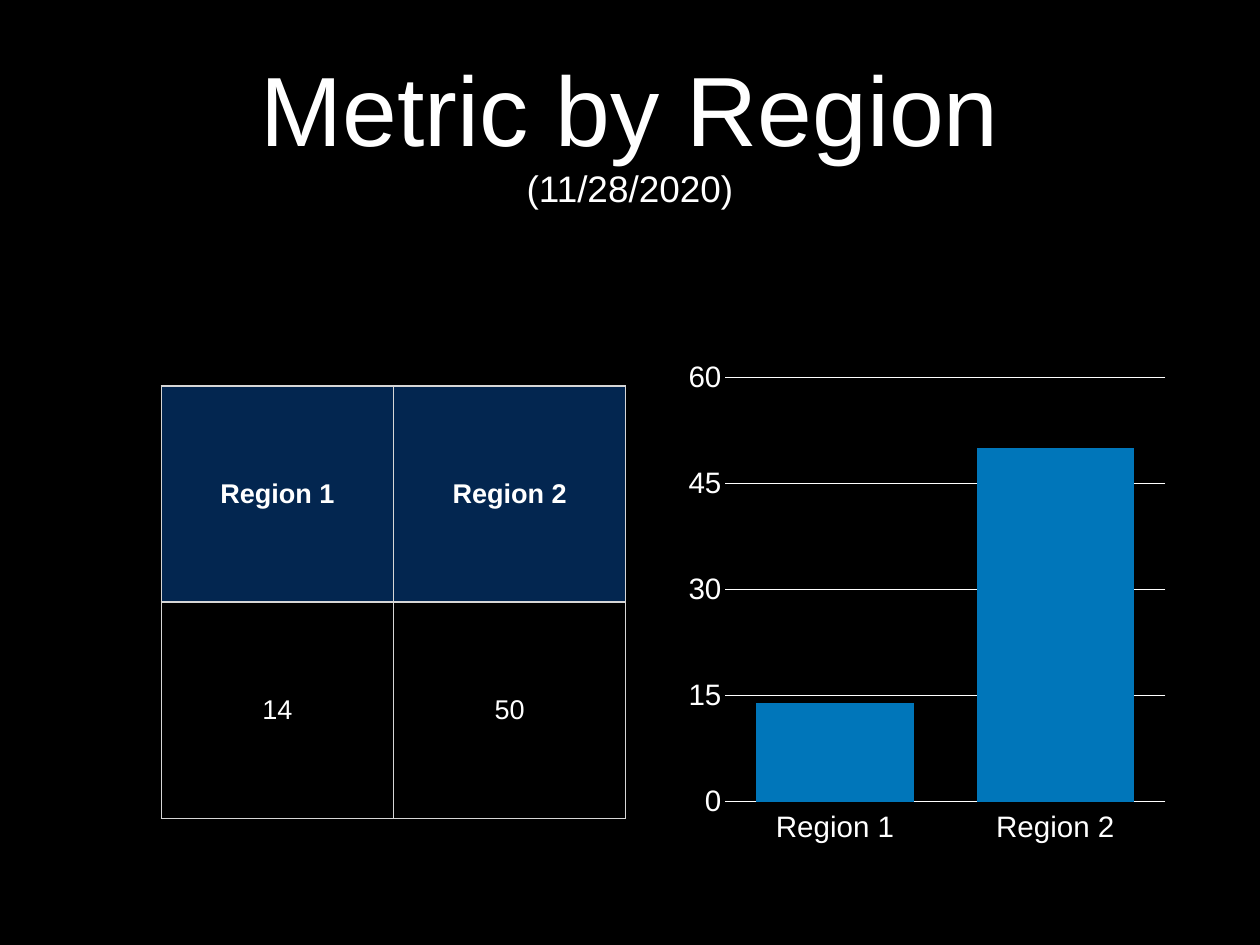
from dataclasses import dataclass
from typing import Any

import lxml.etree
import pptx
import pptx.chart.axis
import pptx.chart.chart
import pptx.chart.data
import pptx.dml.color
import pptx.enum.chart
import pptx.enum.text
import pptx.oxml
import pptx.oxml.ns
import pptx.slide
import pptx.table
import pptx.text.text
import pptx.util

Cm = pptx.util.Cm
MIDDLE = pptx.enum.text.MSO_ANCHOR.MIDDLE


@dataclass(frozen=True)
class Theme:
    font: str = "Arial"
    background: str = "000000"
    text: str = "FFFFFF"
    header: str = "032650"
    border: str = "D6D6D6"
    bar: str = "0076BA"
    title_size: int = 80
    date_size: int = 30
    table_size: int = 22
    axis_size: int = 24


@dataclass(frozen=True)
class Frame:
    left: float
    top: float
    width: float
    height: float

    def lengths(self) -> tuple[pptx.util.Length, ...]:
        return Cm(self.left), Cm(self.top), Cm(self.width), Cm(self.height)


@dataclass(frozen=True)
class Region:
    name: str
    value: int


@dataclass(frozen=True)
class Heading:
    text: str
    size: int


THEME = Theme()
REGIONS = (Region("Region 1", 14), Region("Region 2", 50))
HEADINGS = (
    Heading("Metric by Region", THEME.title_size),
    Heading("(11/28/2020)", THEME.date_size),
)
TITLE_FRAME = Frame(2.64, 0.71, 30.84, 5.99)
TABLE_FRAME = Frame(4.62, 11.07, 13.32, 12.4)
CHART_FRAME = Frame(19.13, 8.36, 14.35, 16.28)
PLOT_AREA = {"x": 0.115, "y": 0.152, "w": 0.88, "h": 0.747}
MARGINS = {f"margin_{side}": Cm(0.15) for side in ("left", "top", "right", "bottom")}


def apply_format(target: Any, values: dict[str, Any]) -> None:
    for name, value in values.items():
        setattr(target, name, value)


def color(code: str) -> pptx.dml.color.RGBColor:
    return pptx.dml.color.RGBColor.from_string(code)


def paint(fill: Any, code: str) -> None:
    fill.solid()
    fill.fore_color.rgb = color(code)


def style_font(font: pptx.text.text.Font, size: int, bold: bool = False) -> None:
    apply_format(font, {"name": THEME.font, "size": pptx.util.Pt(size), "bold": bold})
    font.color.rgb = color(THEME.text)


def write_line(para: Any, text: str, size: int, bold: bool = False) -> None:
    para.alignment = pptx.enum.text.PP_ALIGN.CENTER
    span = para.add_run()
    span.text = text
    style_font(span.font, size, bold)


def add_title(page: pptx.slide.Slide) -> None:
    frame = page.shapes.add_textbox(*TITLE_FRAME.lengths()).text_frame
    apply_format(frame, {"word_wrap": True, "vertical_anchor": MIDDLE, **MARGINS})
    for index, heading in enumerate(HEADINGS):
        para = frame.add_paragraph() if index else frame.paragraphs[0]
        write_line(para, heading.text, heading.size)


def add_borders(cell: Any, widths: dict[str, int]) -> None:
    properties = cell._tc.get_or_add_tcPr()
    for index, (side, width) in enumerate(widths.items()):
        border = pptx.oxml.parse_xml(
            f'<a:ln{side} {pptx.oxml.ns.nsdecls("a")} w="{pptx.util.Pt(width)}">'
            f'<a:solidFill><a:srgbClr val="{THEME.border}"/></a:solidFill></a:ln{side}>'
        )
        properties.insert(index, border)


def fill_cell(cell: Any, text: str, is_header: bool) -> None:
    apply_format(cell, {"vertical_anchor": MIDDLE, **MARGINS})
    write_line(cell.text_frame.paragraphs[0], text, THEME.table_size, is_header)
    if is_header:
        paint(cell.fill, THEME.header)
    else:
        cell.fill.background()
    divider = 2 if is_header else 1
    add_borders(cell, {"L": 1, "R": 1, "T": 1, "B": divider})


def add_region_table(page: pptx.slide.Slide) -> None:
    table = page.shapes.add_table(2, len(REGIONS), *TABLE_FRAME.lengths()).table
    table.horz_banding = False
    for column, region in enumerate(REGIONS):
        fill_cell(table.cell(0, column), region.name, True)
        fill_cell(table.cell(1, column), str(region.value), False)


def place_plot(chart: pptx.chart.chart.Chart) -> None:
    area = chart._chartSpace.chart.plotArea
    for old in area.findall(pptx.oxml.ns.qn("c:layout")):
        area.remove(old)
    layout = lxml.etree.Element(pptx.oxml.ns.qn("c:layout"))
    manual = lxml.etree.SubElement(layout, pptx.oxml.ns.qn("c:manualLayout"))
    settings = {"layoutTarget": "inner", "xMode": "edge", "yMode": "edge", **PLOT_AREA}
    for name, value in settings.items():
        lxml.etree.SubElement(manual, pptx.oxml.ns.qn(f"c:{name}"), val=str(value))
    area.insert(0, layout)


def style_line(line: Any) -> None:
    line.width = pptx.util.Pt(1)
    paint(line.fill, THEME.text)


def style_axes(chart: pptx.chart.chart.Chart) -> None:
    for axis in (chart.category_axis, chart.value_axis):
        no_tick = pptx.enum.chart.XL_TICK_MARK.NONE
        apply_format(axis, {"major_tick_mark": no_tick, "minor_tick_mark": no_tick})
        style_font(axis.tick_labels.font, THEME.axis_size)
    chart.category_axis.tick_label_position = pptx.enum.chart.XL_TICK_LABEL_POSITION.LOW
    style_line(chart.category_axis.format.line)
    scale = {"minimum_scale": 0, "maximum_scale": 60, "major_unit": 15}
    apply_format(chart.value_axis, {**scale, "has_major_gridlines": True})
    chart.value_axis.format.line.fill.background()
    style_line(chart.value_axis.major_gridlines.format.line)


def add_region_chart(page: pptx.slide.Slide) -> None:
    data = pptx.chart.data.CategoryChartData()
    data.categories = [region.name for region in REGIONS]
    data.add_series("Metric", [region.value for region in REGIONS])
    kind = pptx.enum.chart.XL_CHART_TYPE.COLUMN_CLUSTERED
    chart = page.shapes.add_chart(kind, *CHART_FRAME.lengths(), data).chart
    apply_format(chart, {"has_title": False, "has_legend": False})
    style_font(chart.font, THEME.axis_size)
    plot = chart.plots[0]
    apply_format(plot, {"gap_width": 40, "overlap": -10, "vary_by_categories": False})
    paint(plot.series[0].format.fill, THEME.bar)
    style_axes(chart)
    place_plot(chart)


def main() -> None:
    deck = pptx.Presentation()
    apply_format(deck, {"slide_width": Cm(36.12), "slide_height": Cm(27.1)})
    page = deck.slides.add_slide(deck.slide_layouts[6])
    paint(page.background.fill, THEME.background)
    add_title(page)
    add_region_chart(page)
    add_region_table(page)
    deck.save("out.pptx")


if __name__ == "__main__":
    main()
